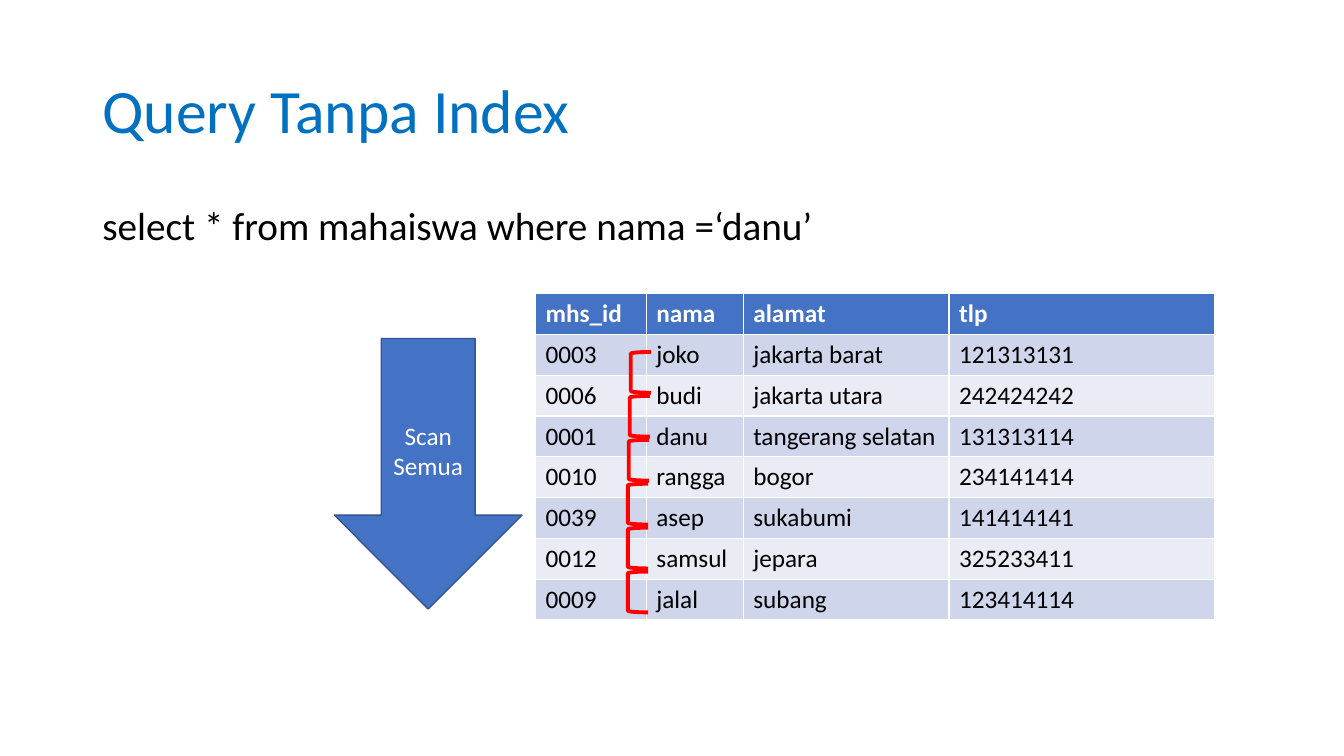
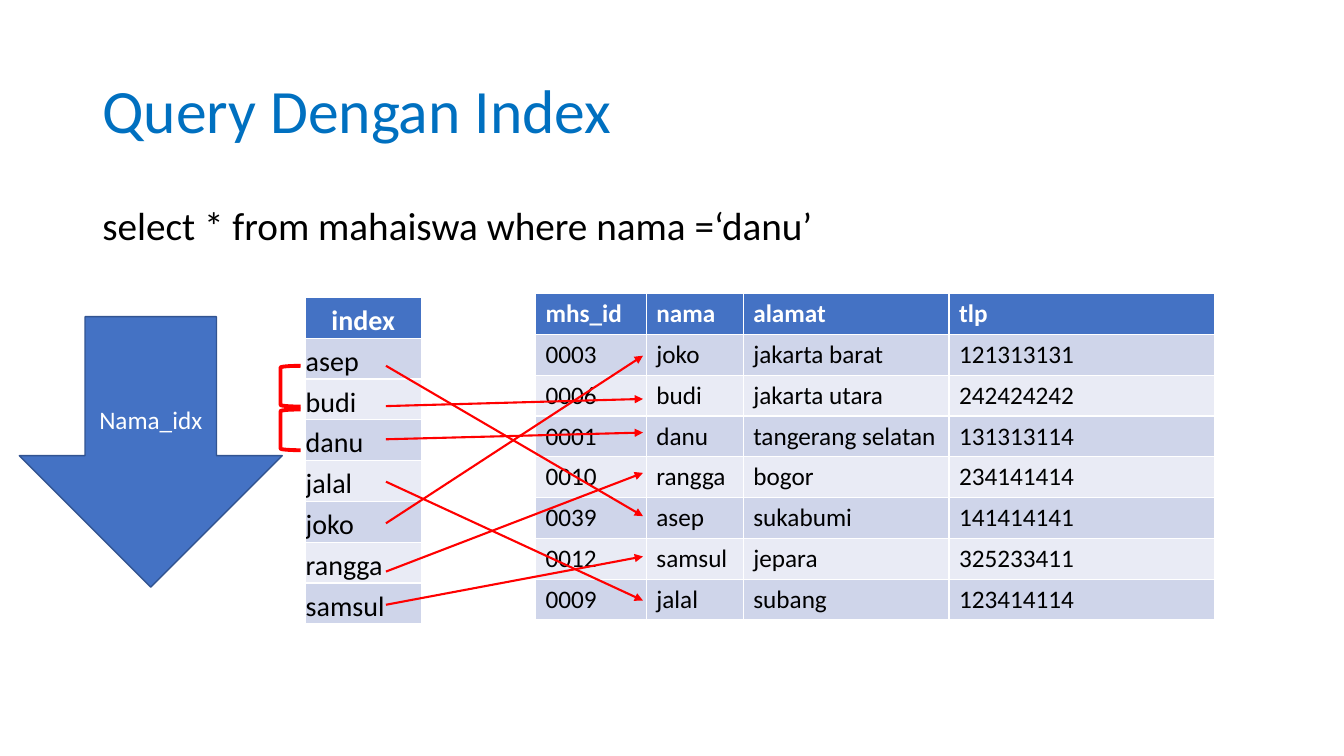
from pptx import Presentation
from pptx.dml.color import RGBColor
from pptx.enum.shapes import MSO_CONNECTOR, MSO_SHAPE
from pptx.enum.text import MSO_ANCHOR, PP_ALIGN
from pptx.util import Inches, Pt
from lxml import etree

ARROW, BRACKET = MSO_SHAPE.DOWN_ARROW, MSO_SHAPE.LEFT_BRACKET
LINE = MSO_CONNECTOR.STRAIGHT
TOP, MIDDLE, BOTTOM = MSO_ANCHOR.TOP, MSO_ANCHOR.MIDDLE, MSO_ANCHOR.BOTTOM
LEFT, CENTER = PP_ALIGN.LEFT, PP_ALIGN.CENTER
WHITE, BLACK = RGBColor(255, 255, 255), RGBColor(0, 0, 0)
TITLE, RED = RGBColor(0, 112, 192), RGBColor(255, 0, 0)
BLUE, EDGE = RGBColor(68, 114, 196), RGBColor(50, 84, 145)
BANDS = RGBColor(207, 213, 234), RGBColor(233, 235, 245)
NS = "{http://schemas.openxmlformats.org/drawingml/2006/main}"

deck = Presentation()
deck.slide_width, deck.slide_height = Inches(13.333), Inches(7.5)
UNIT = deck.slide_width / 160


def grid(*cells):
    return [round(cell * UNIT) for cell in cells]


def write(frame, text, size, color, align=LEFT, bold=False, **space):
    frame.word_wrap = True
    frame.text = text
    font = {"name": "Calibri", "size": Pt(size), "bold": bold}
    for para in frame.paragraphs:
        for key, value in {"alignment": align, **space}.items():
            setattr(para, key, value)
        for run in para.runs:
            run.font.color.rgb = color
            for key, value in font.items():
                setattr(run.font, key, value)


PEOPLE = [
    ["mhs_id", "nama", "alamat", "tlp"],
    ["0003", "joko", "jakarta barat", "121313131"],
    ["0006", "budi", "jakarta utara", "242424242"],
    ["0001", "danu", "tangerang selatan", "131313114"],
    ["0010", "rangga", "bogor", "234141414"],
    ["0039", "asep", "sukabumi", "141414141"],
    ["0012", "samsul", "jepara", "325233411"],
    ["0009", "jalal", "subang", "123414114"],
]
NAMES = [row[1] for row in PEOPLE[1:]]
SORTED = sorted(NAMES)
INDEX = [["index"]] + [[name] for name in SORTED]

ROW = 4.86
PAD = grid(0.1)[0]
TIGHT = {"margin_left": PAD, "margin_right": PAD, "margin_top": PAD,
         "margin_bottom": 0, "vertical_anchor": BOTTOM}
MAIN = (PEOPLE, 63.75, 34.95, [13.2, 11.55, 24.5, 31.65], 18, LEFT, {})
SIDE = (INDEX, 36.3, 35.4, [13.9], 20, CENTER, TIGHT)

STARTS = [43.55, 48.35, 52.3, 57.35, 62.3, 68.05, 72]
ENDS = [42.35, 47.5, 51.5, 56.3, 61.45, 66.25, 71.5]
LINKS = [(start, ENDS[NAMES.index(name)])
         for name, start in zip(SORTED, STARTS)]

SCAN = [(max(74.75, 75.1 - 0.12 * i), 41.9 + 5.23 * i) for i in range(6)]
SEEK = [(33.4, 43.55 + 5.2 * i) for i in range(2)]

PAGES = [
    ("Query Tanpa Index", [MAIN], "Scan\nSemua",
     (39.8, 40.3, 22.35, 32.2), SCAN, []),
    ("Query Dengan Index", [MAIN, SIDE], "Nama_idx",
     (2.3, 37.7, 31.3, 32.2), SEEK, LINKS),
]

for title, tables, label, place, hooks, links in PAGES:
    slide = deck.slides.add_slide(deck.slide_layouts[6])
    shapes = slide.shapes

    for text, top, high, size, color, anchor, gap in (
        (title, 4.8, 17.4, 44, TITLE, MIDDLE, 0),
        ("select * from mahaiswa where nama =‘danu’",
         24, 8, 28, BLACK, TOP, 10),
    ):
        frame = shapes.add_textbox(*grid(11, top, 138, high)).text_frame
        frame.vertical_anchor = anchor
        write(frame, text, size, color,
              line_spacing=0.9, space_before=Pt(gap))

    for rows, left, top, widths, size, align, form in tables:
        area = grid(left, top, sum(widths), ROW * len(rows))
        table = shapes.add_table(len(rows), len(widths), *area).table
        for col, width in zip(table.columns, grid(*widths)):
            col.width = width
        for r, row in enumerate(rows):
            table.rows[r].height = grid(ROW)[0]
            head = r == 0
            for c, text in enumerate(row):
                cell = table.cell(r, c)
                cell.fill.solid()
                cell.fill.fore_color.rgb = BLUE if head else BANDS[(r - 1) % 2]
                for key, value in form.items():
                    setattr(cell, key, value)
                write(cell.text_frame, text, size, WHITE if head else BLACK,
                      align if head else LEFT, head)

    arrow = shapes.add_shape(ARROW, *grid(*place))
    arrow.shadow.inherit = False
    arrow.fill.solid()
    arrow.fill.fore_color.rgb = BLUE
    arrow.line.color.rgb = EDGE
    arrow.line.width = Pt(1)
    arrow.text_frame.vertical_anchor = MIDDLE
    write(arrow.text_frame, label, 18, WHITE, CENTER)

    for left, top in hooks:
        hook = shapes.add_shape(BRACKET, *grid(left, top, 2.4, 4.85))
        hook.shadow.inherit = False
        hook.fill.background()
        hook.line.color.rgb = RED
        hook.line.width = Pt(2.75)

    for start, end in links:
        link = shapes.add_connector(LINE, *grid(45.95, start, 76.55, end))
        link.line.color.rgb = RED
        link.line.width = Pt(1.5)
        props = link.line._get_or_add_ln()
        etree.SubElement(props, NS + "tailEnd", type="triangle")
        etree.SubElement(props.getparent(), NS + "effectLst")

deck.save("out.pptx")
